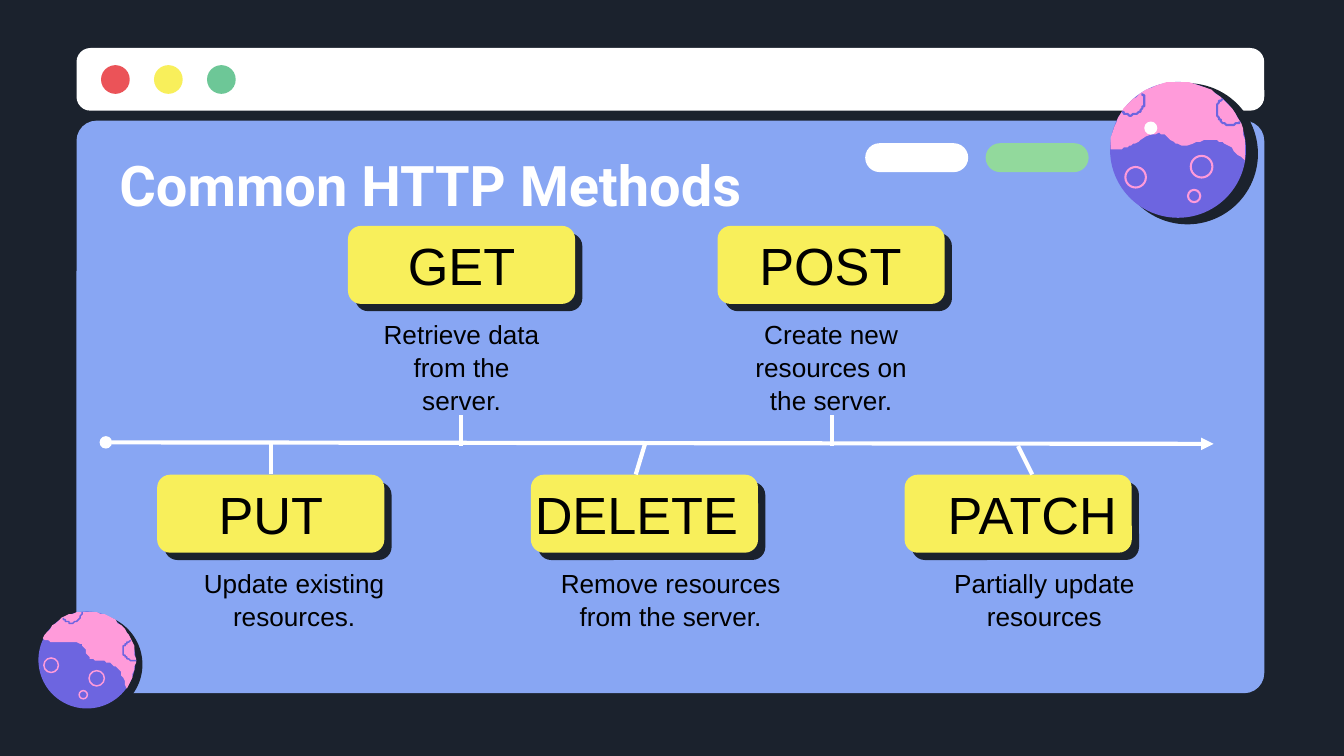
import math
from lxml import etree
from pptx import Presentation
from pptx import util as u
from pptx.dml.color import RGBColor
from pptx.enum import shapes, text
from pptx.oxml.ns import qn

DARK, BLUE, WHITE, YELLOW = "1B222D", "88A6F3", "FFFFFF", "F8EF5B"
RED, TEAL, GREEN = "EB5358", "6DC797", "92D99C"
PURPLE, PINK, BLACK = "6D65E0", "FF9BDA", "000000"

# Content: label, description, label offset, label width, description width
ROWS = [
    {"left": 186.4, "top": 121, "step": 198, "cards": [
        ("GET", "Retrieve data from the server.", 7.2, 107.3, 107.3),
        ("POST", "Create new resources on the server.", 6.8, 107.3, 107.3)]},
    {"left": 84.2, "top": 254.3, "step": 200.2, "cards": [
        ("PUT", "Update existing resources.", 7.2, 107.3, 132.5),
        ("DELETE", "Remove resources from the server.", -7.2, 127.4, 135.4),
        ("PATCH", "Partially update resources", 7.2, 122.4, 135.4)]},
]
CARD_W, CARD_H, CARD_SHADOW, DESC_H = 121.7, 41.8, 3.9, 59.8
STEMS = [(145.4, 254.2, 145.4, 237.6), (340.6, 254.2, 345.6, 237.6),
         (445.6, 222.5, 445.6, 239), (553, 254.2, 545.4, 239),
         (247, 222.5, 247, 239)]

# Circles are (centre x, centre y, radius); craters add start and end degrees.
# The wave is a start point followed by Bezier triples.
PLANETS = [
    {"shadow": (636.1, 82.4, 37.8), "body": (631.1, 80.3, 36.4),
     "sky": (180, 370), "line": 1.1,
     "wave": [(666.7, 86.4), (656.6, 74.9), (650.2, 72.7), (638.6, 77),
              (625.7, 82.1), (627.8, 64.1), (611.3, 74.9),
              (603.4, 79.9), (598.3, 80.6), (594.7, 79.9)],
     "craters": [(605.5, 54, 7.6, 130, -35), (659.2, 59.4, 7.6, 235, 50)],
     "rings": [(608.4, 95, 5.5), (643.7, 89.3, 5.8), (639.7, 105, 3.3)]},
    {"shadow": (49.3, 356, 27), "body": (46.6, 353.6, 26),
     "sky": (206, 396), "line": 0.8,
     "wave": [(67.7, 368.6), (64.8, 357.8), (61.2, 354.2), (52.6, 354.2),
              (42.5, 353.5), (49.7, 342), (35.3, 344.2),
              (28.8, 344.9), (25.2, 343.4), (23, 342)],
     "craters": [(38.2, 328.3, 5.4, 150, -5), (71.3, 348.5, 5.3, 258, 75)],
     "rings": [(27.4, 356.4, 3.9), (51.8, 363.4, 4.1), (44.6, 372.2, 2.2)]},
]


def rgb(color):
    return RGBColor.from_string(color)


def style(sp, fill=None, line=None, width=1):
    sp.shadow.inherit = False
    if fill:
        sp.fill.solid()
        sp.fill.fore_color.rgb = rgb(fill)
    else:
        sp.fill.background()
    if line:
        sp.line.color.rgb = rgb(line)
        sp.line.width = u.Pt(width)
    else:
        sp.line.fill.background()


def rounded(x, y, w, h, fill, adj):
    sp = s.shapes.add_shape(shapes.MSO_SHAPE.ROUNDED_RECTANGLE,
                            u.Pt(x), u.Pt(y), u.Pt(w), u.Pt(h))
    sp.adjustments[0] = adj
    style(sp, fill)


def circle(cx, cy, r, fill=None, line=None, width=1):
    sp = s.shapes.add_shape(shapes.MSO_SHAPE.OVAL, u.Pt(cx - r), u.Pt(cy - r),
                            u.Pt(2 * r), u.Pt(2 * r))
    style(sp, fill, line, width)


def arc(cx, cy, r, start, end, steps=40):
    angles = [math.radians(start + (end - start) * i / steps)
              for i in range(steps + 1)]
    return [(cx + r * math.cos(a), cy + r * math.sin(a)) for a in angles]


def bezier(points, steps=16):
    out = [points[0]]
    for i in range(0, len(points) - 1, 3):
        for k in range(1, steps + 1):
            t = k / steps
            weights = ((1 - t) ** 3, 3 * t * (1 - t) ** 2,
                       3 * t * t * (1 - t), t ** 3)
            out.append(tuple(sum(w * q[axis] for w, q in zip(weights, points[i:i + 4]))
                             for axis in (0, 1)))
    return out


def outline(points, close):
    fb = s.shapes.build_freeform(*points[0], scale=u.Pt(1))
    fb.add_line_segments(points[1:], close=close)
    return fb.convert_to_shape()


def planet(shadow, body, sky, line, wave, craters, rings):
    circle(*shadow, DARK)
    circle(*body, PURPLE)
    style(outline(arc(*body, *sky) + bezier(wave), True), PINK)
    for crater in craters:
        style(outline(arc(*crater), False), None, PURPLE, line)
    for ring in rings:
        circle(*ring, None, PINK, line)


def label(x, y, w, h, content, size, font="Arial", color=BLACK, bold=False,
          align=text.PP_ALIGN.CENTER, anchor=text.MSO_ANCHOR.MIDDLE, spacing=1.0):
    tf = s.shapes.add_textbox(u.Pt(x), u.Pt(y), u.Pt(w), u.Pt(h)).text_frame
    tf.word_wrap = True
    tf.vertical_anchor = anchor
    tf.margin_left = tf.margin_right = tf.margin_top = tf.margin_bottom = u.Pt(7.2)
    tf.text = content
    p = tf.paragraphs[0]
    p.alignment, p.line_spacing = align, spacing
    f = p.runs[0].font
    f.size, f.name, f.bold = u.Pt(size), font, bold
    f.color.rgb = rgb(color)


def connector(x1, y1, x2, y2, head=None, tail=None):
    c = s.shapes.add_connector(shapes.MSO_CONNECTOR.STRAIGHT,
                               u.Pt(x1), u.Pt(y1), u.Pt(x2), u.Pt(y2))
    c.line.color.rgb = rgb(WHITE)
    c.line.width = u.Pt(2.25)
    ln = c.line._get_or_add_ln()
    for tag, kind in (("a:headEnd", head), ("a:tailEnd", tail)):
        if kind:
            etree.SubElement(ln, qn(tag)).set("type", kind)
    etree.SubElement(c._element.spPr, qn("a:effectLst"))


prs = Presentation()
prs.slide_width, prs.slide_height = u.Pt(720), u.Pt(405)
s = prs.slides.add_slide(prs.slide_layouts[6])
s.background.fill.solid()
s.background.fill.fore_color.rgb = rgb(DARK)

# Browser window
rounded(41, 64.7, 636.3, 306.7, BLUE, 0.035)
rounded(41, 25.7, 636.3, 33.6, WHITE, 0.223)
for i, color in enumerate((RED, YELLOW, TEAL)):
    circle(61.8 + 28.4 * i, 42.6, 7.7, color)
for i, color in enumerate((WHITE, GREEN)):
    rounded(463.5 + 64.5 * i, 76.7, 55.2, 15.5, color, 0.5)

# Planets
for parts in PLANETS:
    planet(**parts)
circle(616.5, 68.6, 3.5, WHITE)

# Title
label(56.9, 76.3, 607, 44.6, "Common HTTP Methods", 30, "Roboto", WHITE, True,
      text.PP_ALIGN.LEFT)

# Method cards
for row in ROWS:
    y = row["top"]
    for i, (name, desc, shift, name_w, desc_w) in enumerate(row["cards"]):
        x = row["left"] + row["step"] * i
        for offset, color in ((CARD_SHADOW, DARK), (0, YELLOW)):
            rounded(x + offset, y + offset, CARD_W, CARD_H, color, 0.167)
        label(x + shift, y, name_w, CARD_H, name, 28)
        label(x + 7.2, y + CARD_H, desc_w, DESC_H, desc, 14,
              anchor=text.MSO_ANCHOR.TOP, spacing=1.05)

# Timeline
connector(56.7, 237, 650.2, 237.8, "oval", "triangle")
for stem in STEMS:
    connector(*stem)

prs.save("out.pptx")
